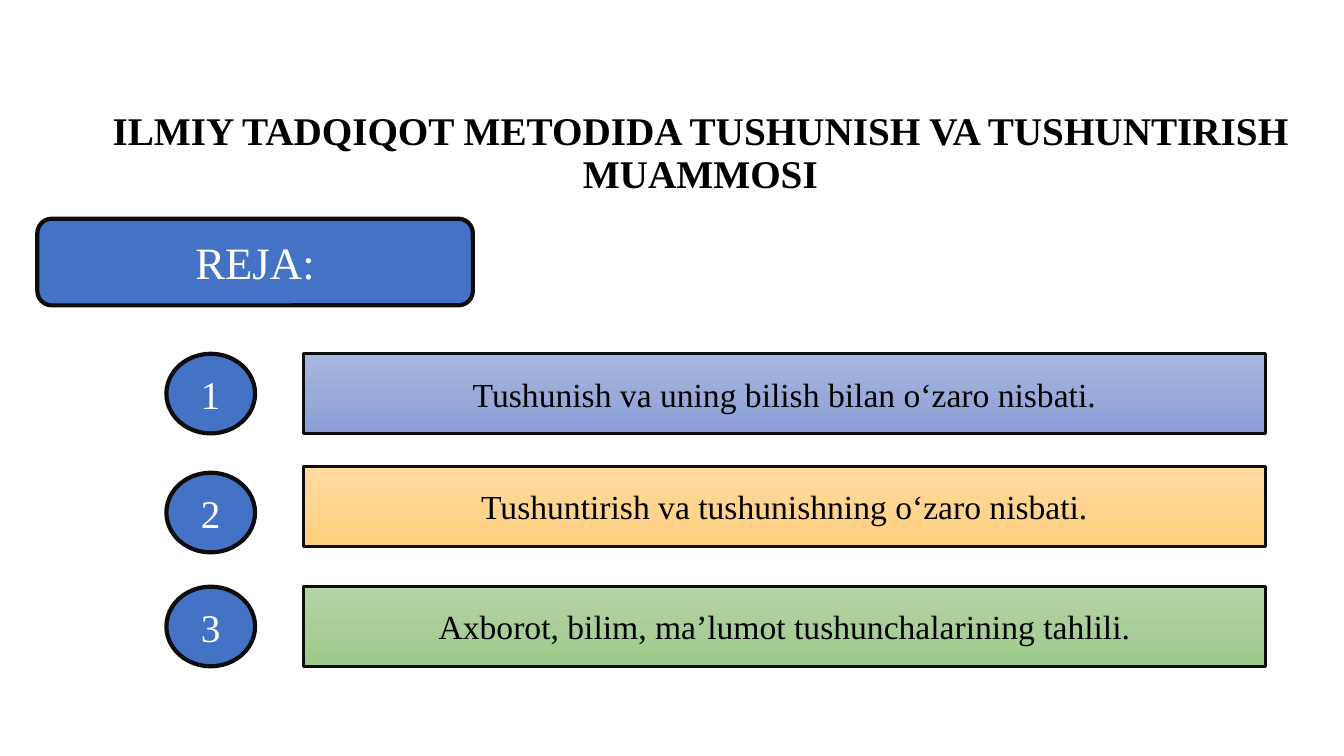
from copy import deepcopy

from pptx import Presentation
from pptx.dml.color import RGBColor
from pptx.enum.shapes import MSO_SHAPE
from pptx.enum.text import MSO_ANCHOR, PP_ALIGN
from pptx.util import Pt

TITLE = "ILMIY TADQIQOT METODIDA TUSHUNISH VA TUSHUNTIRISH MUAMMOSI"
PLAN_LABEL = "REJA:"
TOPICS = [
    {"text": "Tushunish va uning bilish bilan o‘zaro nisbati.",
     "gradient": ("A8B7DF", "9AABD9", "889ED7"), "bar_top": 351, "badge_top": 351},
    {"text": "Tushuntirish va tushunishning o‘zaro nisbati.",
     "gradient": ("FFDB9E", "FFD590", "FFD07C"), "bar_top": 463, "badge_top": 469},
    {"text": "Axborot, bilim, ma’lumot tushunchalarining tahlili.",
     "gradient": ("B5D5A7", "AACE9A", "9CC987"), "bar_top": 582, "badge_top": 582},
]

THEME = {
    "font": "Times New Roman",
    "accent": "4472C4",
    "outline": "0D0D0D",
    "dark": "000000",
    "light": "FFFFFF",
    "title_size": 28,
    "label_size": 32,
    "topic_size": 24,
    "badge_size": 28,
    "thick": 3,
    "thin": 2.25,
}

EMU_PER_PX = 9144
SLIDE_SIZE = (1333, 750)
TITLE_BOX = (100, 44, 1189, 156)
LABEL_BOX = (37, 217, 432, 86)
BAR_LEFT, BAR_WIDTH = 301, 954
BADGE_LEFT, BADGE_WIDTH = 165, 88
ROW_HEIGHT = 79


def to_emu(lengths):
    return [length * EMU_PER_PX for length in lengths]


def color(name):
    return RGBColor.from_string(name)


def write_text(shape, text, size, text_color, anchor=MSO_ANCHOR.MIDDLE, bold=False, spacing=1.0):
    frame = shape.text_frame
    frame.word_wrap = True
    frame.vertical_anchor = anchor
    paragraph = frame.paragraphs[0]
    paragraph.alignment = PP_ALIGN.CENTER
    paragraph.line_spacing = spacing
    run = paragraph.add_run()
    run.text = text
    font_values = {"name": THEME["font"], "size": Pt(size), "bold": bold}
    for attribute, value in font_values.items():
        setattr(run.font, attribute, value)
    run.font.color.rgb = color(text_color)


def fill_gradient(shape, stop_colors):
    shape.fill.gradient()
    shape.fill.gradient_angle = 270
    first_stop = shape._element.spPr.xpath(".//a:gs")[0]
    first_stop.addnext(deepcopy(first_stop))
    for index, (stop, stop_color) in enumerate(zip(shape.fill.gradient_stops, stop_colors)):
        stop.position = index / (len(stop_colors) - 1)
        stop.color.rgb = color(stop_color)


def add_panel(slide, kind, box, line_width, fill):
    shape = slide.shapes.add_shape(kind, *to_emu(box))
    shape.shadow.inherit = False
    if isinstance(fill, tuple):
        fill_gradient(shape, fill)
    else:
        shape.fill.solid()
        shape.fill.fore_color.rgb = color(fill)
    shape.line.color.rgb = color(THEME["outline"])
    shape.line.width = Pt(line_width)
    return shape


def main():
    presentation = Presentation()
    presentation.slide_width, presentation.slide_height = to_emu(SLIDE_SIZE)
    slide = presentation.slides.add_slide(presentation.slide_layouts[6])

    title = slide.shapes.add_textbox(*to_emu(TITLE_BOX))
    write_text(title, TITLE, THEME["title_size"], THEME["dark"], MSO_ANCHOR.BOTTOM, True, 0.9)

    label = add_panel(slide, MSO_SHAPE.ROUNDED_RECTANGLE, LABEL_BOX, THEME["thick"], THEME["accent"])
    write_text(label, PLAN_LABEL, THEME["label_size"], THEME["light"])

    for number, topic in enumerate(TOPICS, start=1):
        bar_box = (BAR_LEFT, topic["bar_top"], BAR_WIDTH, ROW_HEIGHT)
        bar = add_panel(slide, MSO_SHAPE.RECTANGLE, bar_box, THEME["thin"], topic["gradient"])
        write_text(bar, topic["text"], THEME["topic_size"], THEME["dark"])

        badge_box = (BADGE_LEFT, topic["badge_top"], BADGE_WIDTH, ROW_HEIGHT)
        badge = add_panel(slide, MSO_SHAPE.OVAL, badge_box, THEME["thick"], THEME["accent"])
        write_text(badge, str(number), THEME["badge_size"], THEME["light"])

    presentation.save("out.pptx")


if __name__ == "__main__":
    main()
